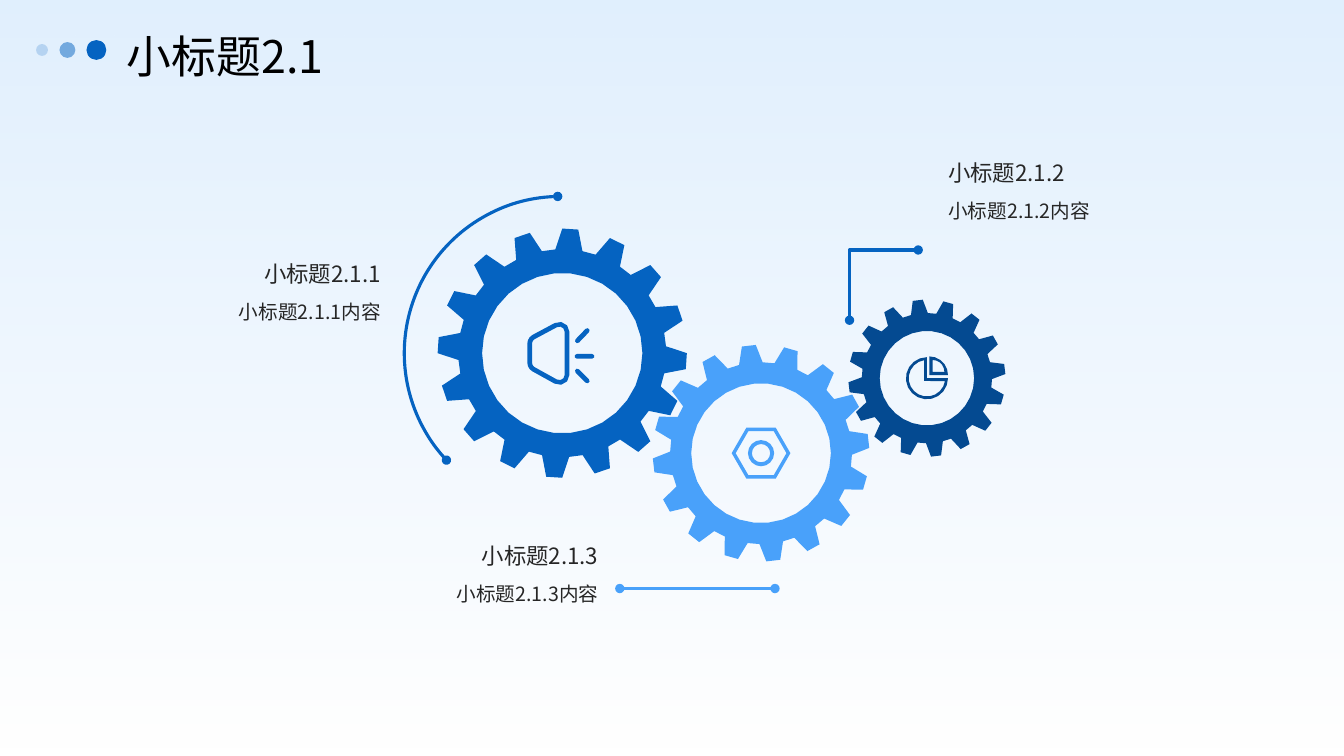
import math
from typing import NamedTuple

import pptx
import pptx.dml.color
import pptx.enum.shapes
import pptx.enum.text
import pptx.oxml
import pptx.oxml.ns
import pptx.util
from pptx.dml.color import RGBColor
from pptx.enum.text import MSO_ANCHOR, PP_ALIGN
from pptx.util import Cm

BLUE = RGBColor(0x05, 0x63, 0xC1)
LIGHT_BLUE = RGBColor(0x49, 0xA1, 0xFA)
DARK_BLUE = RGBColor(0x04, 0x4A, 0x91)
SKY = RGBColor(0xC2, 0xE0, 0xFD)
BLACK = RGBColor(0, 0, 0)
INK = RGBColor(0x26, 0x26, 0x26)
FONT = "Noto Sans CJK SC"
UNITS_PER_CM = 1000
TEETH = 16

Point = tuple[float, float]
Contour = list[Point]


class Gear(NamedTuple):
    center: Point
    tip: float
    root: float
    hole: float
    phase: float
    color: RGBColor


class Label(NamedTuple):
    heading: str
    detail: str
    left: float
    top: float
    width: float
    detail_height: float
    align: PP_ALIGN


class Dot(NamedTuple):
    left: float
    size: float
    opacity: int


# Geometry in centimetres, angles in degrees clockwise from the right
def polar(center: Point, radius: float, angle: float) -> Point:
    turn = math.radians(angle)
    return center[0] + radius * math.cos(turn), center[1] + radius * math.sin(turn)


def arc(center: Point, radius: float, start: float, end: float, steps: int = 3) -> Contour:
    return [polar(center, radius, start + (end - start) * i / steps) for i in range(steps + 1)]


def ring(center: Point, radius: float, corners: int) -> Contour:
    return arc(center, radius, 0, 360, corners)[:-1]


def capsule(start: Point, end: Point, radius: float) -> Contour:
    angle = math.degrees(math.atan2(end[1] - start[1], end[0] - start[0]))
    return arc(start, radius, angle + 90, angle + 270) + arc(end, radius, angle - 90, angle + 90)


def gear_teeth(gear: Gear) -> Contour:
    pitch = 360 / TEETH
    corners = ((gear.tip, -3.7), (gear.tip, 3.7), (gear.root, 7.5), (gear.root, 15))
    return [polar(gear.center, radius, gear.phase + tooth * pitch + offset)
            for tooth in range(TEETH) for radius, offset in corners]


def megaphone_body(radius: float) -> Contour:
    return (arc((13.54, 8.66), radius, 180, 240) + arc((14.1, 8.36), radius, 240, 360)
            + arc((14.1, 9.45), radius, 0, 120) + arc((13.54, 9.14), radius, 120, 180))


# Drawing helpers
def freeform(shapes, contours: list[Contour], closed: bool = True):
    scaled = [[(x * UNITS_PER_CM, y * UNITS_PER_CM) for x, y in contour] for contour in contours]
    builder = shapes.build_freeform(*scaled[0][0], scale=Cm(1) / UNITS_PER_CM)
    for number, contour in enumerate(scaled):
        if number:
            builder.move_to(*contour[0])
        builder.add_line_segments(contour[1:], close=closed)
    shape = builder.convert_to_shape()
    shape.shadow.inherit = False
    return shape


def paint(shape, color: RGBColor) -> None:
    shape.fill.solid()
    shape.fill.fore_color.rgb = color
    shape.line.fill.background()


def set_opacity(shape, percents: list[int]) -> None:
    colors = shape._element.spPr.iter(pptx.oxml.ns.qn("a:srgbClr"))
    for color, percent in zip(colors, percents):
        alpha = color.makeelement(pptx.oxml.ns.qn("a:alpha"), {"val": str(percent * 1000)})
        color.append(alpha)


def style_callout(callout, color: RGBColor) -> None:
    callout.line.color.rgb = color
    callout.line.width = pptx.util.Pt(2.25)
    line = callout.line._get_or_add_ln()
    for end in ("a:headEnd", "a:tailEnd"):
        line.append(line.makeelement(pptx.oxml.ns.qn(end), {"type": "oval"}))


def write(box, text: str, size: float, color: RGBColor, spacing: float,
          anchor: MSO_ANCHOR, align: PP_ALIGN) -> None:
    frame = box.text_frame
    frame.text = text
    frame.word_wrap = True
    frame.auto_size = pptx.enum.text.MSO_AUTO_SIZE.NONE
    frame.vertical_anchor = anchor
    frame.margin_left = frame.margin_right = frame.margin_top = frame.margin_bottom = 0
    paragraph = frame.paragraphs[0]
    paragraph.alignment = align
    paragraph.line_spacing = spacing
    paragraph.space_before = pptx.util.Pt(0)
    font = paragraph.runs[0].font
    font.size = pptx.util.Pt(size)
    font.color.rgb = color
    font.name = FONT
    properties = paragraph.runs[0]._r.get_or_add_rPr()
    properties.append(properties.makeelement(pptx.oxml.ns.qn("a:ea"), {"typeface": FONT}))


def add_label(shapes, label: Label) -> None:
    heading = shapes.add_textbox(Cm(label.left), Cm(label.top), Cm(label.width), Cm(0.76))
    write(heading, label.heading, 16, INK, 1.3, MSO_ANCHOR.BOTTOM, label.align)
    detail = shapes.add_textbox(Cm(label.left), Cm(label.top + 0.78),
                                Cm(label.width), Cm(label.detail_height))
    write(detail, label.detail, 14, INK, 1.5, MSO_ANCHOR.TOP, label.align)


GEARS = [
    Gear((14.17, 8.9), 3.14, 2.62, 2.02, 3.7, BLUE),
    Gear((19.18, 11.42), 2.73, 2.29, 1.76, 16, LIGHT_BLUE),
    Gear((23.36, 9.53), 1.98, 1.64, 1.19, 15.8, DARK_BLUE),
]
NUT = [ring(GEARS[1].center, radius, corners)
       for radius, corners in ((0.74, 6), (0.64, 6), (0.33, 16), (0.23, 16))]
MEGAPHONE = [megaphone_body(0.25), megaphone_body(0.13)] + [
    capsule(start, end, 0.06) for start, end in (
        ((14.55, 8.59), (14.8, 8.33)),
        ((14.54, 8.98), (14.92, 8.98)),
        ((14.55, 9.35), (14.8, 9.6)),
    )]
PIE = [
    [GEARS[2].center] + arc(GEARS[2].center, 0.53, 0, 270, 14),
    [(23.29, 9.6)] + arc(GEARS[2].center, 0.46, 9, 261, 14),
    [(23.42, 9.45)] + arc((23.42, 9.45), 0.47, 270, 360, 5),
    [(23.5, 9.37)] + arc((23.5, 9.37), 0.3, 270, 360, 5),
]
LABELS = [
    Label("小标题2.1.3", "小标题2.1.3内容", 4.4, 13.59, 10.68, 2.67, PP_ALIGN.RIGHT),
    Label("小标题2.1.1", "小标题2.1.1内容", 1.88, 6.47, 7.72, 3.38, PP_ALIGN.RIGHT),
    Label("小标题2.1.2", "小标题2.1.2内容", 23.9, 3.94, 8.1, 3.38, PP_ALIGN.LEFT),
]
DOTS = [Dot(2.18, 0.5, 100), Dot(1.5, 0.4, 50), Dot(0.91, 0.3, 20)]
DOT_MIDDLE = 1.26


def main() -> None:
    deck = pptx.Presentation()
    deck.slide_width, deck.slide_height = Cm(33.87), Cm(19.05)
    slide = deck.slides.add_slide(deck.slide_layouts[5])
    shapes = slide.shapes
    preset = pptx.enum.shapes.MSO_SHAPE

    # Fading sky behind everything
    sky = shapes.add_shape(preset.RECTANGLE, 0, 0, deck.slide_width, deck.slide_height)
    sky.shadow.inherit = False
    sky.line.fill.background()
    sky.fill.gradient()
    sky.fill.gradient_angle = 270
    for stop, position in zip(sky.fill.gradient_stops, (0, 1)):
        stop.color.rgb = SKY
        stop.position = position
    set_opacity(sky, [50, 0])
    shapes._spTree.insert(2, sky._element)

    # Gears and their icons
    for gear in GEARS:
        paint(freeform(shapes, [gear_teeth(gear), ring(gear.center, gear.hole, 30)]), gear.color)
    for icon, color in ((NUT, LIGHT_BLUE), (MEGAPHONE, BLUE), (PIE, DARK_BLUE)):
        paint(freeform(shapes, icon), color)

    # Callout lines
    sweep = shapes.add_shape(preset.ARC, Cm(10.19), Cm(4.95), Cm(7.9), Cm(7.9))
    sweep.shadow.inherit = False
    sweep.adjustments[0], sweep.adjustments[1] = 82.18, 161.27
    elbow = freeform(shapes, [[(21.41, 8.07), (21.41, 6.3), (23.14, 6.3)]], closed=False)
    for callout in (sweep, elbow):
        callout.fill.background()
        style_callout(callout, BLUE)
    underline = shapes.add_connector(pptx.enum.shapes.MSO_CONNECTOR.STRAIGHT,
                                     Cm(19.53), Cm(14.83), Cm(15.62), Cm(14.83))
    style_callout(underline, LIGHT_BLUE)
    properties = underline._element.spPr
    properties.append(properties.makeelement(pptx.oxml.ns.qn("a:effectLst"), {}))

    # Labels
    for label in LABELS:
        add_label(shapes, label)

    # Title with its dots
    title = shapes.title
    title.left, title.top, title.width, title.height = Cm(3.2), Cm(0.66), Cm(30.2), Cm(1.2)
    write(title, "小标题2.1", 32, BLACK, 1.2, MSO_ANCHOR.MIDDLE, PP_ALIGN.LEFT)
    for dot in DOTS:
        circle = shapes.add_shape(preset.OVAL, Cm(dot.left), Cm(DOT_MIDDLE - dot.size / 2),
                                  Cm(dot.size), Cm(dot.size))
        circle.shadow.inherit = False
        paint(circle, BLUE)
        if dot.opacity < 100:
            set_opacity(circle, [dot.opacity])

    deck.save("out.pptx")


if __name__ == "__main__":
    main()
